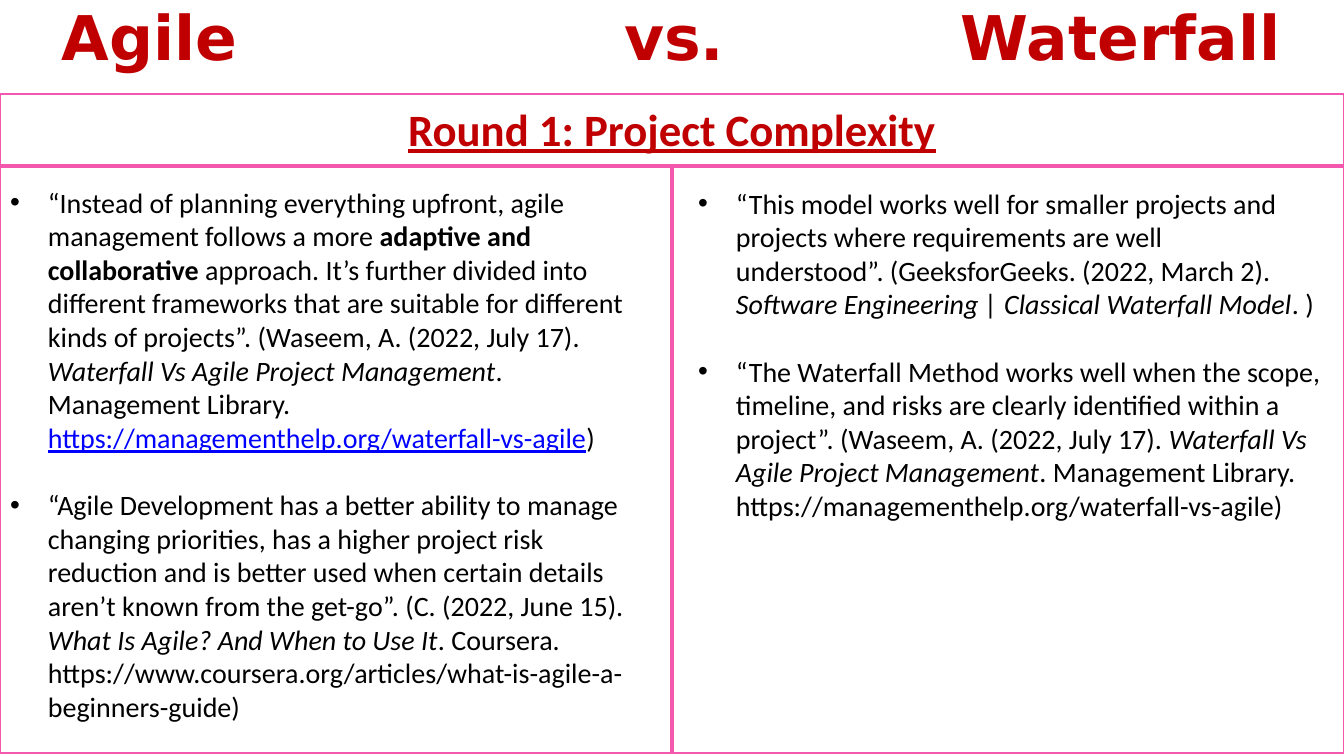
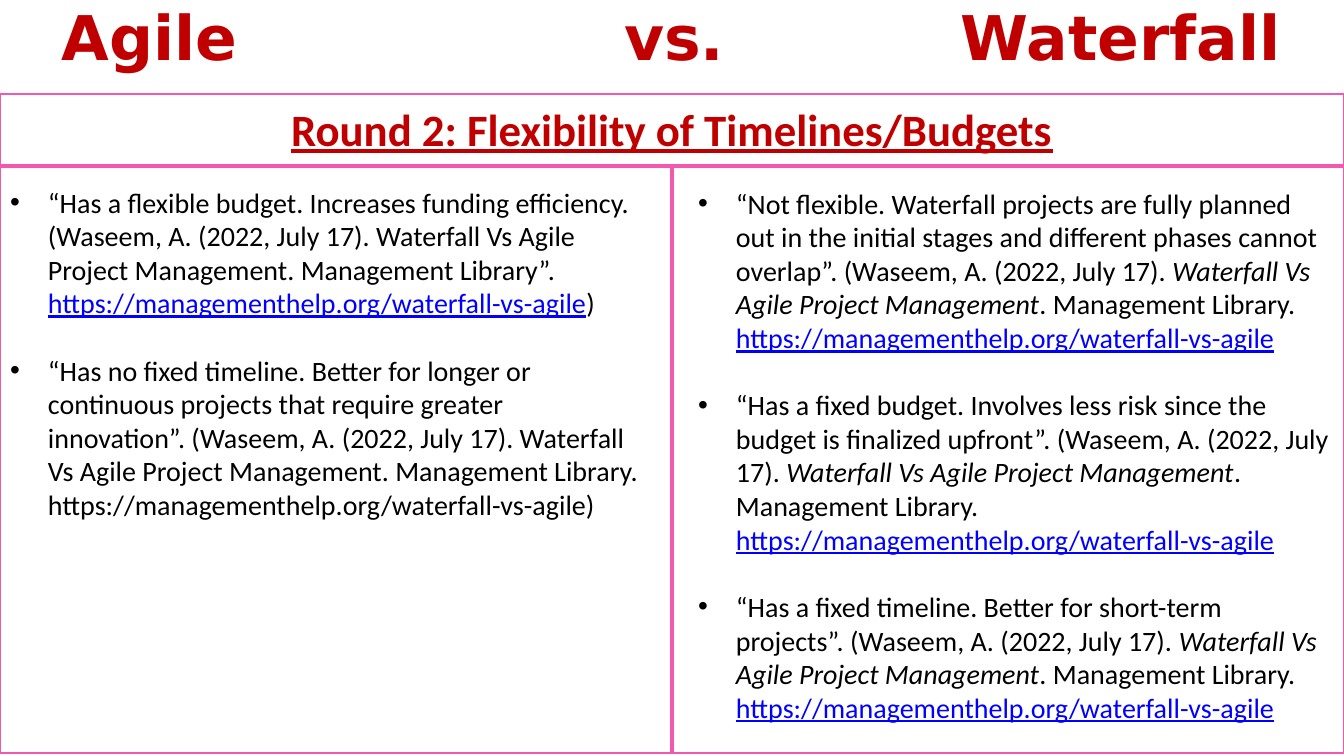
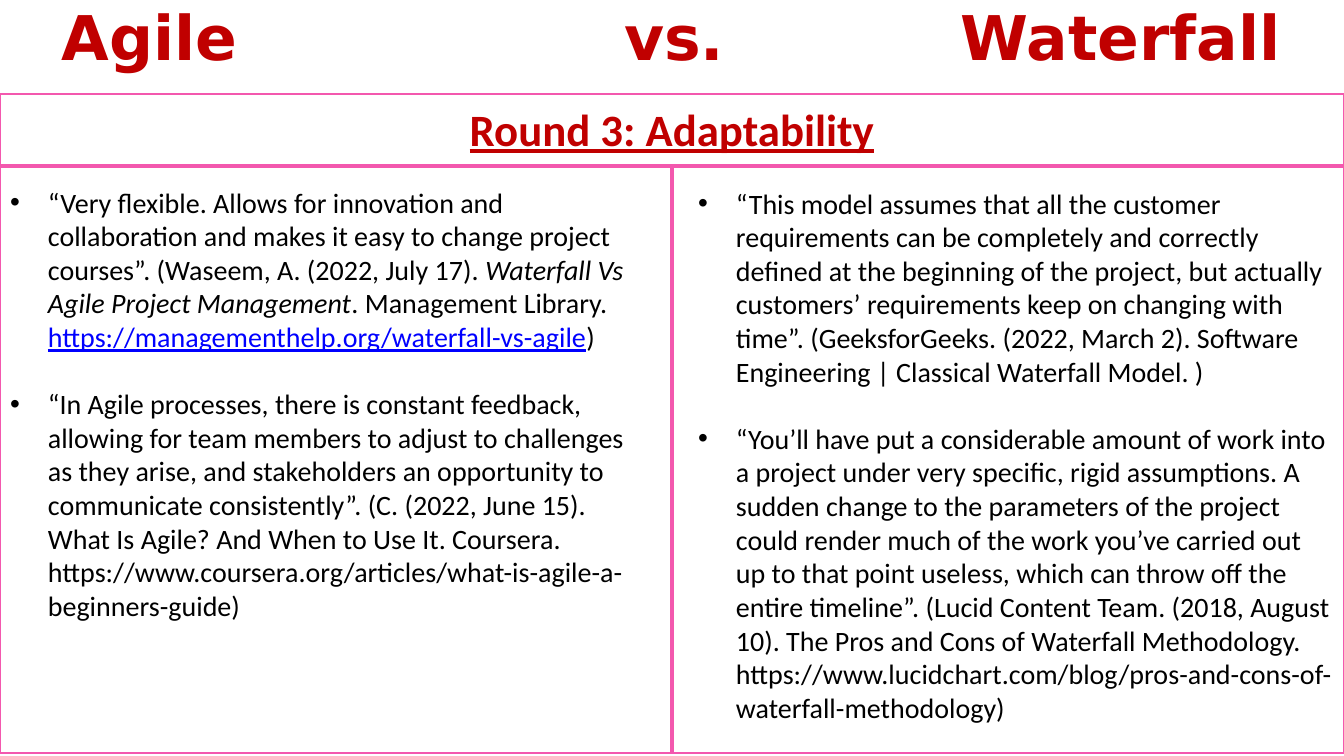
"""Build three slides that compare Agile and Waterfall round by round."""
import pptx
import pptx.dml.color
import pptx.enum.shapes
import pptx.enum.text
import pptx.oxml
import pptx.oxml.ns
import pptx.util

PX = 914400 / 100.8
WIDTH, HEIGHT = 1344, 756
FRAME_TOP, RULE_Y, FRAME_BOTTOM = 94, 166, 753
RED, PINK, BLACK, BLUE = "C00000", "F358AE", "000000", "0000FF"

TITLE = "Agile\tvs.\tWaterfall"
TITLE_LEFT, TITLE_TABS = 62, (624, 961)
TITLE_FORMAT = {"name": "DejaVu Sans", "size": 44, "bold": True, "color": RED}
ROUND_FORMAT = {"name": "Calibri", "size": 32, "bold": True, "underline": True, "color": RED}
BODY_FORMAT = {"name": "Calibri", "size": 20, "color": BLACK}
STYLES = {
    "plain": {},
    "bold": {"bold": True},
    "work": {"italic": True},
    "link": {"underline": True, "color": BLUE},
}
COLUMNS = [(0, 180), (688, 181)]
COLUMN_WIDTH = 656
PARAGRAPH_GAP = 24

WORK = ("Waterfall Vs Agile Project Management", "work")
LIBRARY = (". Management Library. ", "plain")
LINK = ("https://managementhelp.org/waterfall-vs-agile", "link")
CLOSE = (")", "plain")

ROUNDS = [
    ("Round 1: Project Complexity", [
        [
            [("“Instead of planning everything upfront, agile management follows a more ", "plain"),
             ("adaptive and collaborative", "bold"),
             (" approach. It’s further divided into different frameworks that are suitable for "
              "different kinds of projects”. (Waseem, A. (2022, July 17). ", "plain"),
             WORK, LIBRARY, LINK, CLOSE],
            [("“Agile Development has a better ability to manage changing priorities, has a higher "
              "project risk reduction and is better used when certain details aren’t known from the "
              "get-go”. (C. (2022, June 15). ", "plain"),
             ("What Is Agile? And When to Use It", "work"),
             (". Coursera. https://www.coursera.org/articles/what-is-agile-a-beginners-guide)", "plain")],
        ],
        [
            [("“This model works well for smaller projects and projects where requirements are well\n"
              "understood”. (GeeksforGeeks. (2022, March 2). ", "plain"),
             ("Software Engineering | Classical Waterfall Model", "work"),
             (". )", "plain")],
            [("“The Waterfall Method works well when the scope, timeline, and risks are clearly "
              "identified within a project”. (Waseem, A. (2022, July 17). ", "plain"),
             WORK,
             (". Management Library. https://managementhelp.org/waterfall-vs-agile)", "plain")],
        ],
    ]),
    ("Round 2: Flexibility of Timelines/Budgets", [
        [
            [("“Has a flexible budget. Increases funding efficiency. (Waseem, A. (2022, July 17). "
              "Waterfall Vs Agile Project Management. Management Library”. ", "plain"),
             LINK, CLOSE],
            [("“Has no fixed timeline. Better for longer or continuous projects that require greater "
              "innovation”. (Waseem, A. (2022, July 17). Waterfall Vs Agile Project Management. "
              "Management Library. https://managementhelp.org/waterfall-vs-agile)", "plain")],
        ],
        [
            [("“Not flexible. Waterfall projects are fully planned out in the initial stages and "
              "different phases cannot overlap”. (Waseem, A. (2022, July 17). ", "plain"),
             WORK, LIBRARY, LINK],
            [("“Has a fixed budget. Involves less risk since the budget is finalized upfront”. "
              "(Waseem, A. (2022, July 17). ", "plain"),
             WORK, LIBRARY, LINK],
            [("“Has a fixed timeline. Better for short-term projects”. "
              "(Waseem, A. (2022, July 17). ", "plain"),
             WORK, LIBRARY, LINK],
        ],
    ]),
    ("Round 3: Adaptability", [
        [
            [("“Very flexible. Allows for innovation and collaboration and makes it easy to change "
              "project courses”. (Waseem, A. (2022, July 17). ", "plain"),
             WORK, LIBRARY, LINK, CLOSE],
            [("“In Agile processes, there is constant feedback, allowing for team members to adjust to "
              "challenges as they arise, and stakeholders an opportunity to communicate consistently”. "
              "(C. (2022, June 15). What Is Agile? And When to Use It. Coursera. "
              "https://www.coursera.org/articles/what-is-agile-a-beginners-guide)", "plain")],
        ],
        [
            [("“This model assumes that all the customer requirements can be completely and correctly "
              "defined at the beginning of the project, but actually customers’ requirements keep on "
              "changing with time”. (GeeksforGeeks. (2022, March 2). Software Engineering | Classical "
              "Waterfall Model. )", "plain")],
            [("“You’ll have put a considerable amount of work into a project under very specific, rigid "
              "assumptions. A sudden change to the parameters of the project could render much of the "
              "work you’ve carried out up to that point useless, which can throw off the entire "
              "timeline”. (Lucid Content Team. (2018, August 10). The Pros and Cons of Waterfall "
              "Methodology. https://www.lucidchart.com/blog/pros-and-cons-of-waterfall-methodology)",
              "plain")],
        ],
    ]),
]


def px(n):
    return pptx.util.Emu(round(n * PX))


def rgb(value):
    return pptx.dml.color.RGBColor.from_string(value)


def add_run(p, text, fmt):
    r = p.add_run()
    r.text = text
    for key, value in fmt.items():
        if key == "color":
            r.font.color.rgb = rgb(value)
        else:
            setattr(r.font, key, pptx.util.Pt(value) if key == "size" else value)


def place(sp, left, top, width, height):
    box = {"left": left, "top": top, "width": width, "height": height}
    for key, value in box.items():
        setattr(sp, key, px(value))
    tf = sp.text_frame
    settings = {
        "word_wrap": True,
        "auto_size": pptx.enum.text.MSO_AUTO_SIZE.NONE,
        "vertical_anchor": pptx.enum.text.MSO_ANCHOR.TOP,
    }
    for key, value in settings.items():
        setattr(tf, key, value)
    return tf


def add_title(s):
    tf = place(s.shapes.title, 0, -6, WIDTH, 85)
    tf.margin_left = px(TITLE_LEFT)
    tf.margin_right = 0
    p = tf.paragraphs[0]
    p.alignment = pptx.enum.text.PP_ALIGN.LEFT
    tabs = pptx.oxml.parse_xml(f"<a:tabLst {pptx.oxml.ns.nsdecls('a')}/>")
    for x in TITLE_TABS:
        tab = tabs.makeelement(pptx.oxml.ns.qn("a:tab"), {"pos": str(px(x - TITLE_LEFT)), "algn": "l"})
        tabs.append(tab)
    p._p.get_or_add_pPr().append(tabs)
    add_run(p, TITLE, TITLE_FORMAT)


def add_heading(s, text):
    tf = place(s.shapes.add_textbox(0, 0, 0, 0), 0, 97, WIDTH, 65)
    p = tf.paragraphs[0]
    p.alignment = pptx.enum.text.PP_ALIGN.CENTER
    add_run(p, text, ROUND_FORMAT)


def add_rule(s, x1, y1, x2, y2):
    rule = s.shapes.add_connector(
        pptx.enum.shapes.MSO_CONNECTOR.STRAIGHT, px(x1), px(y1), px(x2), px(y2))
    rule.line.color.rgb = rgb(PINK)
    rule.line.width = pptx.util.Pt(3)
    rule._element.spPr.append(pptx.oxml.parse_xml(f"<a:effectLst {pptx.oxml.ns.nsdecls('a')}/>"))
    return rule


def add_grid(s):
    frame = s.shapes.add_shape(
        pptx.enum.shapes.MSO_SHAPE.RECTANGLE, 0, px(FRAME_TOP), px(WIDTH), px(FRAME_BOTTOM - FRAME_TOP))
    frame.shadow.inherit = False
    frame.fill.background()
    frame.line.color.rgb = rgb(PINK)
    frame.line.width = pptx.util.Pt(2)
    divider = add_rule(s, WIDTH // 2, RULE_Y, WIDTH // 2, FRAME_BOTTOM)
    divider.end_connect(frame, 2)
    add_rule(s, WIDTH, RULE_Y, 0, RULE_Y)


def add_column(sp, left, top, quotes):
    tf = place(sp, left, top, COLUMN_WIDTH, FRAME_BOTTOM - top)
    for i, quote in enumerate(quotes):
        p = tf.add_paragraph() if i else tf.paragraphs[0]
        p.space_before = pptx.util.Pt(PARAGRAPH_GAP if i else 0)
        for text, style in quote:
            for n, line in enumerate(text.split("\n")):
                if n:
                    p.add_line_break()
                add_run(p, line, BODY_FORMAT | STYLES[style])


def main():
    prs = pptx.Presentation()
    prs.slide_width, prs.slide_height = px(WIDTH), px(HEIGHT)
    for heading, columns in ROUNDS:
        s = prs.slides.add_slide(prs.slide_layouts.get_by_name("Two Content"))
        add_title(s)
        add_grid(s)
        add_heading(s, heading)
        for idx, ((left, top), quotes) in enumerate(zip(COLUMNS, columns), 1):
            add_column(s.placeholders[idx], left, top, quotes)
    prs.save("out.pptx")


if __name__ == "__main__":
    main()
